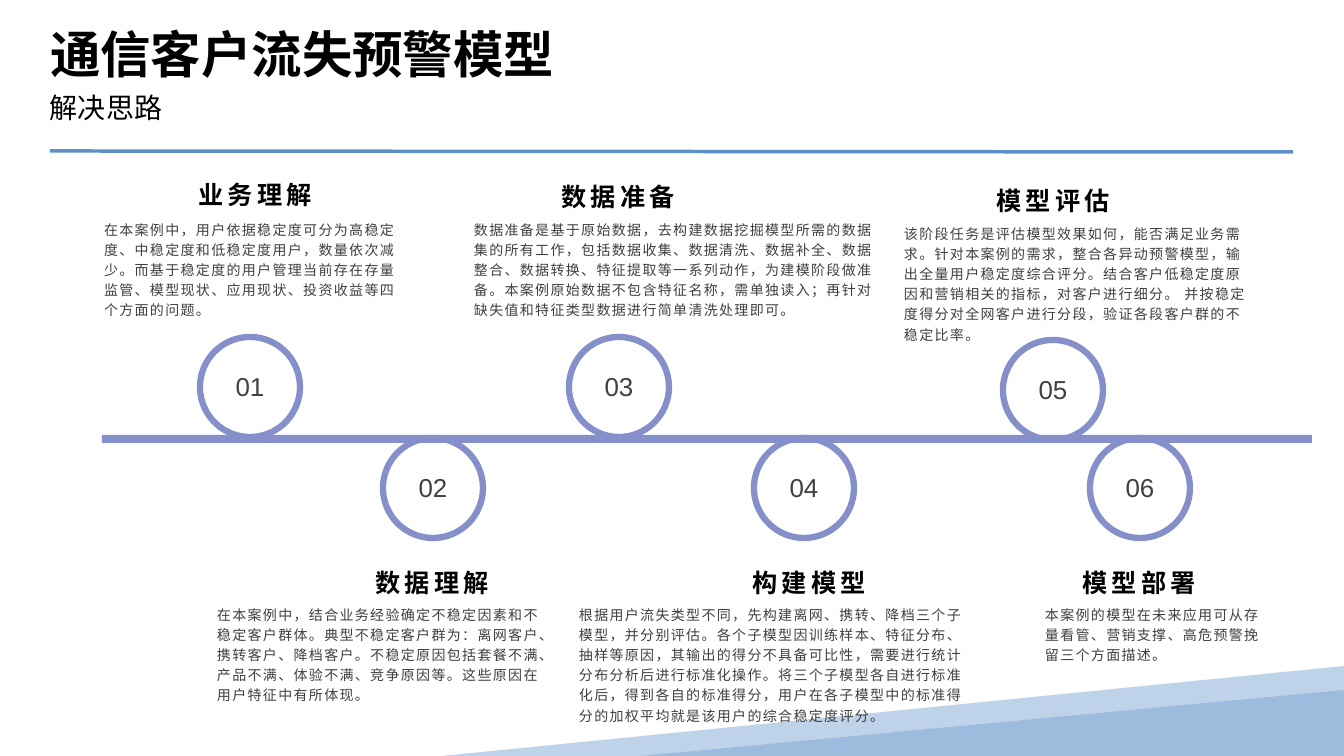
from lxml import etree
from pptx import Presentation
from pptx.dml.color import RGBColor
from pptx.enum.shapes import MSO_CONNECTOR, MSO_SHAPE
from pptx.enum.text import MSO_ANCHOR, MSO_AUTO_SIZE, PP_ALIGN
from pptx.oxml.ns import qn
from pptx.util import Emu, Pt

LEFT, CENTER = PP_ALIGN.LEFT, PP_ALIGN.CENTER
TOP, MIDDLE, BOTTOM = MSO_ANCHOR.TOP, MSO_ANCHOR.MIDDLE, MSO_ANCHOR.BOTTOM
NO_AUTOFIT = MSO_AUTO_SIZE.NONE
ELLIPSE, RECTANGLE, TRIANGLE = MSO_SHAPE.OVAL, MSO_SHAPE.RECTANGLE, MSO_SHAPE.ISOSCELES_TRIANGLE
STRAIGHT = MSO_CONNECTOR.STRAIGHT
TITLE_ONLY = 5
EMU_PER_PX = 914400 / 100.8
SLIDE_W, SLIDE_H = 1344, 756
CJK_FONT, LATIN_FONT = "Noto Sans CJK SC", "Arial"
COLORS = {
    "timeline": "8590CA",
    "rule": "5C8FC7",
    "wave_light": "BED2E9",
    "wave_dark": "9DBCDD",
    "heading": "000000",
    "body": "404040",
}
CIRCLE, HEADING_W, HEADING_H = 100, 238, 49

STEPS = [
    ("01", "业务理解", (200, 337), (136, 167), (94, 213, 323, 119),
     "在本案例中，用户依据稳定度可分为高稳定度、中稳定度和低稳定度用户，数量依次减少。而基于稳定度的用户管理当前存在存量监管、模型现状、应用现状、投资收益等四个方面的问题。"),
    ("02", "数据理解", (383, 438), (313, 555), (207, 598, 345, 124),
     "在本案例中，结合业务经验确定不稳定因素和不稳定客户群体。典型不稳定客户群为：离网客户、携转客户、降档客户。不稳定原因包括套餐不满、产品不满、体验不满、竞争原因等。这些原因在用户特征中有所体现。"),
    ("03", "数据准备", (569, 337), (499, 169), (464, 213, 424, 107),
     "数据准备是基于原始数据，去构建数据挖掘模型所需的数据集的所有工作，包括数据收集、数据清洗、数据补全、数据整合、数据转换、特征提取等一系列动作，为建模阶段做准备。本案例原始数据不包含特征名称，需单独读入；再针对缺失值和特征类型数据进行简单清洗处理即可。"),
    ("04", "构建模型", (754, 438), (690, 555), (569, 598, 404, 124),
     "根据用户流失类型不同，先构建离网、携转、降档三个子模型，并分别评估。各个子模型因训练样本、特征分布、抽样等原因，其输出的得分不具备可比性，需要进行统计分布分析后进行标准化操作。将三个子模型各自进行标准化后，得到各自的标准得分，用户在各子模型中的标准得分的加权平均就是该用户的综合稳定度评分。"),
    ("05", "模型评估", (1003, 340), (934, 173), (894, 217, 370, 107),
     "该阶段任务是评估模型效果如何，能否满足业务需求。针对本案例的需求，整合各异动预警模型，输出全量用户稳定度综合评分。结合客户低稳定度原因和营销相关的指标，对客户进行细分。 并按稳定度得分对全网客户进行分段，验证各段客户群的不稳定比率。"),
    ("06", "模型部署", (1090, 438), (1020, 555), (1035, 598, 243, 124),
     "本案例的模型在未来应用可从存量看管、营销支撑、高危预警挽留三个方面描述。"),
]


def px(length):
    return Emu(round(length * EMU_PER_PX))


def color(name):
    return RGBColor.from_string(COLORS[name])


def write(holder, text, size, ink="heading", font=CJK_FONT, bold=False, align=LEFT,
          anchor=TOP, spacing=1.0, tracking=0, insets=(10, 5)):
    frame = holder.text_frame
    frame.word_wrap = True
    frame.auto_size = NO_AUTOFIT
    frame.vertical_anchor = anchor
    frame.margin_left = frame.margin_right = px(insets[0])
    frame.margin_top = frame.margin_bottom = px(insets[1])
    paragraph = frame.paragraphs[0]
    paragraph.alignment = align
    paragraph.line_spacing = spacing
    run = paragraph.add_run()
    run.text = text
    run.font.name = font
    run.font.size = Pt(size)
    run.font.bold = bold
    run.font.color.rgb = color(ink)
    properties = run.font._element
    properties.set("spc", str(tracking * 100))
    etree.SubElement(properties, qn("a:ea")).set("typeface", CJK_FONT)


def add_text(slide, box, text, **style):
    write(slide.shapes.add_textbox(*map(px, box)), text, **style)


def paint(shape, fill=None, outline=None, weight=0):
    shape.shadow.inherit = False
    if fill:
        shape.fill.solid()
        shape.fill.fore_color.rgb = color(fill)
    else:
        shape.fill.background()
    if outline:
        shape.line.color.rgb = color(outline)
        shape.line.width = Pt(weight)
    else:
        shape.line.fill.background()


def draw_waves(slide, left, top, width, height):
    right, bottom = left + width, top + height
    builder = slide.shapes.build_freeform(right, top, scale=EMU_PER_PX)
    builder.add_line_segments([(right, bottom - 6), (left + 462, bottom), (left, bottom)])
    paint(builder.convert_to_shape(), "wave_light")
    dark_wave = slide.shapes.add_shape(
        TRIANGLE, px(left + 199), px(top + 24), px(width - 199), px(height - 24))
    dark_wave.adjustments[0] = 1
    paint(dark_wave, "wave_dark")


def draw_header(slide, left, top, width):
    title = slide.shapes.title
    title.left, title.top, title.width, title.height = map(px, (left, top, width, 67))
    write(title, "通信客户流失预警模型", size=36, bold=True, anchor=BOTTOM, insets=(0, 0))
    add_text(slide, (left, top + 67, width, 50), "解决思路", size=20, spacing=1.2, insets=(0, 0))
    rule = slide.shapes.add_connector(
        STRAIGHT, px(left), px(top + 134), px(left + width), px(top + 135))
    rule.line.color.rgb = color("rule")
    rule.line.width = Pt(2.5)
    etree.SubElement(rule._element.spPr, qn("a:effectLst"))


def draw_step(slide, number, heading, circle_at, heading_at, body_box, body):
    left, top = circle_at
    circle = slide.shapes.add_shape(ELLIPSE, px(left), px(top), px(CIRCLE), px(CIRCLE))
    paint(circle, outline="timeline", weight=4.5)
    add_text(slide, (left + 24, top + 28, 52, 43), number, size=18.5, ink="body",
             font=LATIN_FONT, align=CENTER, anchor=MIDDLE)
    add_text(slide, (*heading_at, HEADING_W, HEADING_H), heading, size=18, font=LATIN_FONT,
             bold=True, align=CENTER, anchor=MIDDLE, spacing=1.2, tracking=3)
    add_text(slide, body_box, body, size=10, ink="body", spacing=1.2, tracking=1)


def draw_timeline(slide, left, top, width, height):
    bar = slide.shapes.add_shape(RECTANGLE, px(left), px(top), px(width), px(height))
    paint(bar, "timeline")
    for step in STEPS:
        draw_step(slide, *step)


def main():
    deck = Presentation()
    deck.slide_width, deck.slide_height = px(SLIDE_W), px(SLIDE_H)
    slide = deck.slides.add_slide(deck.slide_layouts[TITLE_ONLY])
    draw_waves(slide, 442, 666, 902, 90)
    draw_timeline(slide, 102, 435, 1210, 8)
    draw_header(slide, 50, 17, 1243)
    deck.save("out.pptx")


if __name__ == "__main__":
    main()
